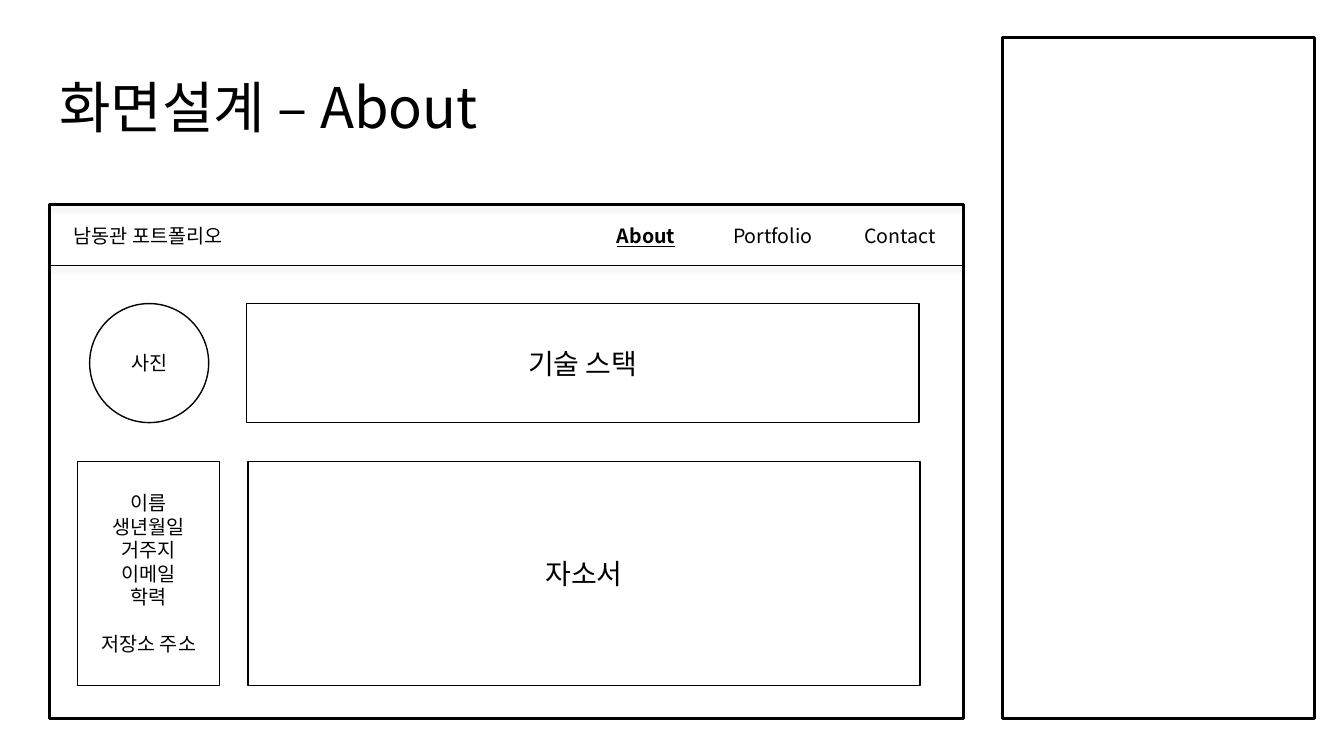
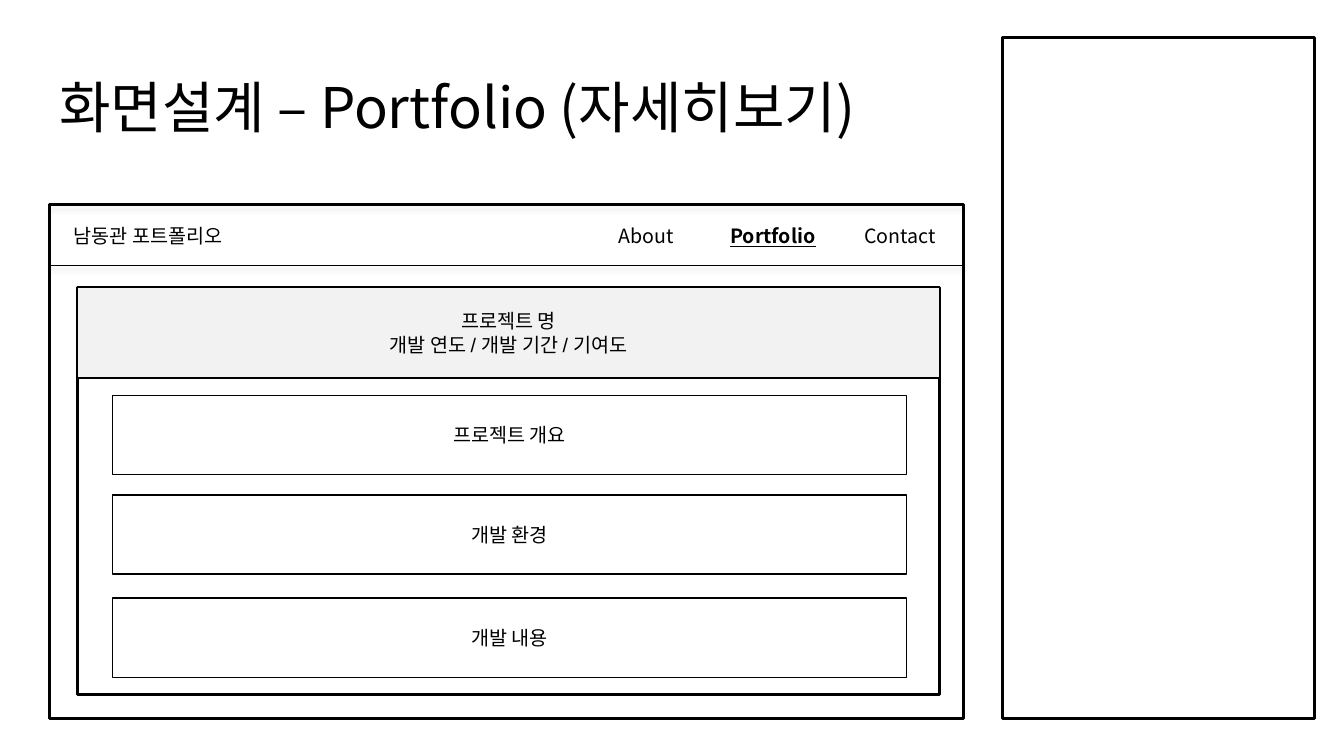
from dataclasses import dataclass

from lxml import etree
from pptx import Presentation
from pptx.dml.color import RGBColor
from pptx.enum.shapes import MSO_SHAPE
from pptx.enum.text import MSO_ANCHOR, MSO_AUTO_SIZE, PP_ALIGN
from pptx.oxml.ns import qn
from pptx.util import Cm, Pt

RECTANGLE = MSO_SHAPE.RECTANGLE
OVAL = MSO_SHAPE.OVAL
LEFT = PP_ALIGN.LEFT
CENTER = PP_ALIGN.CENTER
MIDDLE = MSO_ANCHOR.MIDDLE
NO_AUTO_SIZE = MSO_AUTO_SIZE.NONE
TITLE_ONLY = 5


@dataclass(frozen=True)
class Theme:
    """Colours, fonts, type sizes and line widths of the deck."""

    ink: RGBColor = RGBColor(0, 0, 0)
    paper: RGBColor = RGBColor(255, 255, 255)
    band: RGBColor = RGBColor(242, 242, 242)
    font: str = "Noto Sans CJK KR"
    box_font: str = "Arial"
    title: int = 40
    large: int = 20
    body: int = 14
    frame_line: float = 2.25
    panel_line: float = 2
    box_line: float = 1
    hairline: float = 0.25


FRAME = (1.24, 5.16, 23.04, 12.95)
NOTES = (25.27, 0.94, 7.85, 17.17)
TITLE = (1.24, 0.94, 23.04, 3.68)
HEADER = (1.24, 5.18, 23.04, 1.5)
BRAND_WIDTH = 5
MENU_WIDTH = 3.2
MENU = ("About", "Portfolio", "Contact")


def apply(target, values):
    """Set each named attribute of the target."""
    for name, value in values.items():
        setattr(target, name, value)


class Wireframe:
    """Draws wireframe slides in one theme."""

    def __init__(self, theme):
        """Start an empty wide presentation."""
        self.theme = theme
        self.presentation = Presentation()
        apply(self.presentation, {"slide_width": Cm(33.87), "slide_height": Cm(19.05)})
        self.slide = None

    def start_slide(self, title, active):
        """Add a slide with its title, frames and menu header."""
        layout = self.presentation.slide_layouts[TITLE_ONLY]
        self.slide = self.presentation.slides.add_slide(layout)
        self.add_title(title)
        for place in (FRAME, NOTES):
            self.add_box(place, line=self.theme.frame_line)
        self.add_header(active)

    def set_text(self, shape, lines, size, font, alignment=CENTER, **emphasis):
        """Set the lines of a shape, vertically centred."""
        frame = shape.text_frame
        apply(frame, {"word_wrap": True, "auto_size": NO_AUTO_SIZE, "vertical_anchor": MIDDLE})
        frame.text = "\n".join(lines)
        for paragraph in frame.paragraphs:
            paragraph.alignment = alignment
            for run in paragraph.runs:
                apply(run.font, {"name": font, "size": Pt(size), **emphasis})
                run.font.color.rgb = self.theme.ink
                latin = run.font._element.find(qn("a:latin"))
                east_asian = etree.Element(qn("a:ea"), typeface=self.theme.font)
                latin.addnext(east_asian)

    def add_title(self, text):
        """Place and format the title placeholder."""
        title = self.slide.shapes.title
        apply(title, dict(zip(("left", "top", "width", "height"), map(Cm, TITLE))))
        self.set_text(title, [text], self.theme.title, self.theme.font, LEFT)
        title.text_frame.paragraphs[0].line_spacing = 0.9

    def add_box(self, place, *lines, size=None, line=None, fill=None, kind=RECTANGLE, parent=None):
        """Add an outlined shape with optional fill and centred lines."""
        shapes = (parent or self.slide).shapes
        shape = shapes.add_shape(kind, *map(Cm, place))
        shape.shadow.inherit = False
        if fill is None:
            shape.fill.background()
        else:
            shape.fill.solid()
            shape.fill.fore_color.rgb = fill
        shape.line.color.rgb = self.theme.ink
        shape.line.width = Pt(line or self.theme.box_line)
        if lines:
            self.set_text(shape, lines, size or self.theme.body, self.theme.box_font)
        return shape

    def add_label(self, group, place, text, **emphasis):
        """Add a text box to a group."""
        label = group.shapes.add_textbox(*map(Cm, place))
        self.set_text(label, [text], self.theme.body, self.theme.font, **emphasis)

    def add_header(self, active):
        """Add the grouped site header with the active menu item marked."""
        group = self.slide.shapes.add_group_shape()
        left, top, width, height = HEADER
        self.add_label(group, (left, top, BRAND_WIDTH, height), "남동관 포트폴리오")
        menu_left = left + width - len(MENU) * MENU_WIDTH
        for index, item in enumerate(MENU):
            place = (menu_left + index * MENU_WIDTH, top, MENU_WIDTH, height)
            emphasis = {"bold": True, "underline": True} if item == active else {}
            self.add_label(group, place, item, **emphasis)
        bar = self.add_box(HEADER, line=self.theme.hairline, parent=group)
        self.add_shadow(bar)

    def add_shadow(self, shape):
        """Give a shape a soft shadow below it."""
        effects = shape._element.spPr.find(qn("a:effectLst"))
        shadow = etree.SubElement(
            effects, qn("a:outerShdw"), blurRad=str(Pt(4)), dist=str(Pt(3)),
            dir="5400000", algn="t", rotWithShape="0")
        color = etree.SubElement(shadow, qn("a:srgbClr"), val=str(self.theme.ink))
        etree.SubElement(color, qn("a:alpha"), val="40000")


def draw_about(wireframe):
    """Draw the About screen."""
    theme = wireframe.theme
    wireframe.start_slide("화면설계 – About", "About")
    wireframe.add_box((2.26, 7.65, 3, 3), "사진", kind=OVAL)
    wireframe.add_box((6.22, 7.65, 16.94, 3), "기술 스택", size=theme.large)
    wireframe.add_box((6.25, 11.63, 16.94, 5.64), "자소서", size=theme.large)
    profile = wireframe.add_box(
        (1.96, 11.63, 3.58, 5.64),
        "이름", "생년월일", "거주지", "이메일", "학력", "저장소 주소")
    profile.text_frame.paragraphs[-1].space_before = Pt(17)


def draw_portfolio(wireframe):
    """Draw the Portfolio detail screen."""
    theme = wireframe.theme
    wireframe.start_slide("화면설계 – Portfolio (자세히보기)", "Portfolio")
    wireframe.add_box((1.96, 7.24, 21.72, 10.26), line=theme.panel_line, fill=theme.paper)
    wireframe.add_box(
        (1.96, 7.24, 21.72, 2.29),
        "프로젝트 명", "개발 연도 / 개발 기간 / 기여도", fill=theme.band)
    sections = ((9.96, "프로젝트 개요"), (12.47, "개발 환경"), (15.07, "개발 내용"))
    for top, text in sections:
        wireframe.add_box((2.84, top, 20, 2), text, fill=theme.paper)


def main():
    """Build and save the presentation."""
    wireframe = Wireframe(Theme())
    draw_about(wireframe)
    draw_portfolio(wireframe)
    wireframe.presentation.save("out.pptx")


if __name__ == "__main__":
    main()
